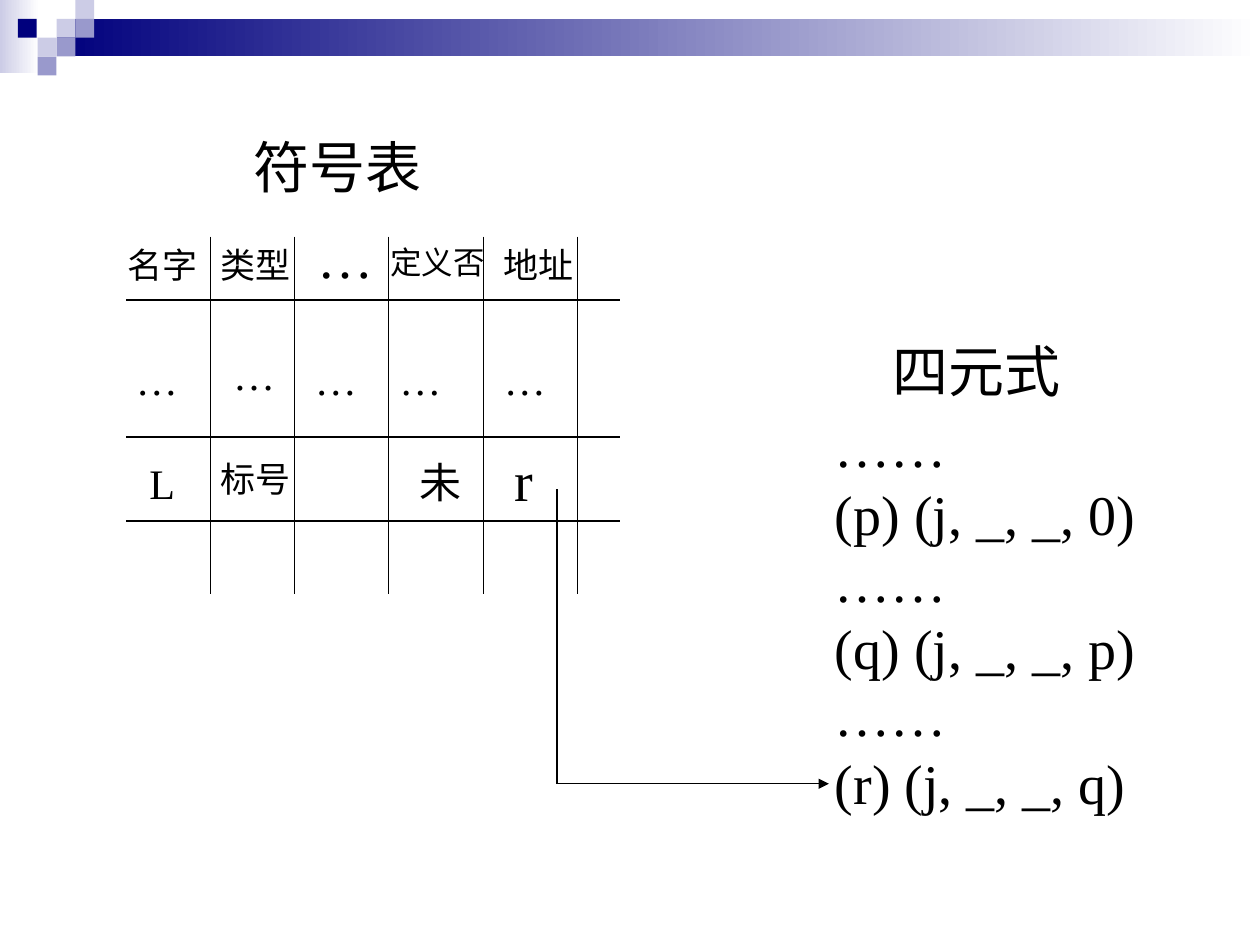
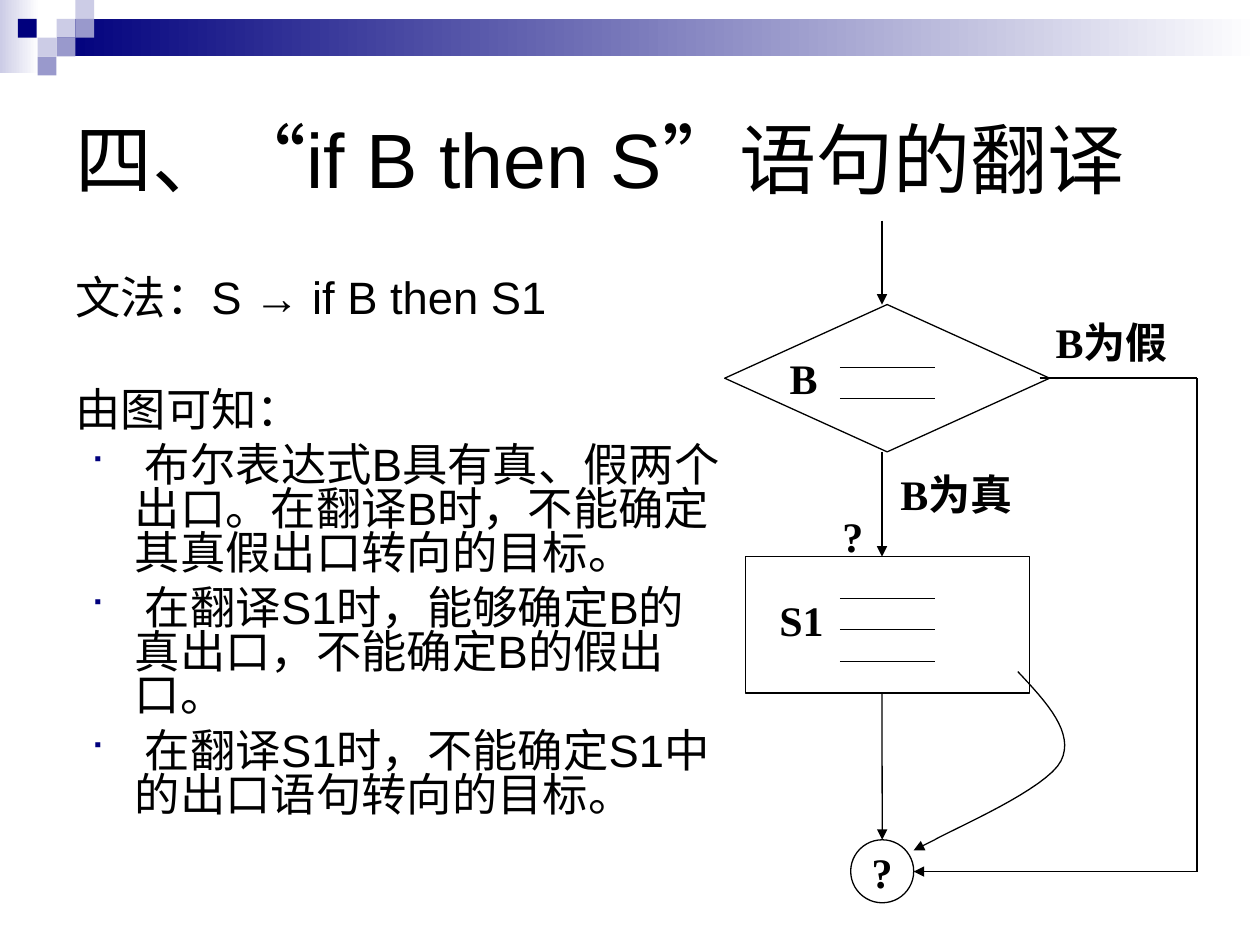
from lxml import etree
from pptx import Presentation
from pptx.dml.color import RGBColor
from pptx.enum import shapes, text
from pptx.oxml import ns
from pptx.util import Cm, Pt

BLACK = RGBColor(0, 0, 0)
WHITE = RGBColor(255, 255, 255)
NAVY = RGBColor(0x00, 0x00, 0x7D)
MID = RGBColor(0x99, 0x99, 0xCC)
PALE = RGBColor(0xCC, 0xCC, 0xE6)
SANS, SERIF = "Arial", "Times New Roman"
KIND = shapes.MSO_SHAPE

BANDS = [(0, 0, 0.79, 1.47, PALE), (1.14, 0.38, 24.26, 0.76, NAVY)]
TILE = 0.38
TILES = [(1.14, 0.38, PALE), (1.52, 0, PALE), (1.52, 0.38, MID), (0.76, 0.76, PALE),
         (0.36, 0.38, NAVY), (1.14, 0.76, MID), (0.76, 1.14, MID)]

HEADS = [("符号表", 4.87, 2.54), ("四元式", 17.74, 6.65)]
ROWS = [6.05, 8.81, 10.5]
COLS = [4.24, 5.93, 7.83, 9.74, 11.64]
LEFT, RIGHT, TOP, LOW = 2.54, 12.5, 4.77, 11.98
CELLS = [
    ("名字", 2.32, 4.78, 1.95, 20), ("类型", 4.19, 4.78, 1.95, 20),
    ("…", 6.15, 4.37, 1.63, 32), ("定义否", 7.62, 4.78, 2.41, 18),
    ("地址", 9.9, 4.78, 1.95, 20),
    ("…", 2.49, 7.01, 1.35, 24), ("…", 4.45, 6.91, 1.35, 24),
    ("…", 6.1, 7.01, 1.35, 24), ("…", 7.8, 7.01, 1.35, 24),
    ("…", 9.91, 7.01, 1.35, 24),
    ("L", 2.76, 9.09, 1.02, 24), ("标号", 4.19, 9.09, 1.95, 20),
    ("未", 8.2, 9.07, 1.35, 24), ("r", 10.12, 8.86, 0.89, 32),
]
QUADS = ["……", "(p) (j, _, _, 0)", "……", "(q) (j, _, _, p)", "……", "(r) (j, _, _, q)"]
LINK = [(11.23, 9.86), (11.23, 15.8), (16.71, 15.8)]

TITLE = "四、“if B then S”语句的翻译"
INTRO = [("文法：S → if B then S1", 7), ("由图可知：", 39)]
POINTS = [
    " 布尔表达式B具有真、假两个出口。在翻译B时，不能确定其真假出口转向的目标。",
    " 在翻译S1时，能够确定B的真出口，不能确定B的假出口。",
    " 在翻译S1时，不能确定S1中的出口语句转向的目标。",
]
AXIS = 17.78
TEST = (14.61, 6.14, 6.55, 2.97)
STEP = (15.03, 11.22, 5.72, 2.75)
EXIT = (17.15, 16.93, 1.27, 1.27)
TAGS = [("B", 15.67, 6.99, 1.07), ("S1", 15.46, 11.86, 1.4), ("?", 17.32, 16.93, 0.91),
        ("B为假", 21.03, 6.25, 2.97), ("B为真", 17.9, 9.32, 2.97),
        ("?", 16.73, 10.16, 0.91)]
DASHES = [7.41, 8.04, 12.06, 12.69, 13.33]
FALSE = [(20.96, 7.62), (24.13, 7.62), (24.13, 17.57), (18.42, 17.57)]
CURVE = [[(20.52, 13.54), (21.11, 14.17), (21.67, 14.78), (21.39, 15.34)],
         [(21.39, 15.34), (21.11, 15.9), (19.23, 16.71), (18.84, 16.93)]]
HOOK = (18.42, 17.14)


def style(para, size, font, bold=False):
    for run in para.runs:
        run.font.size, run.font.name, run.font.bold = Pt(size), font, bold
        run.font.color.rgb = BLACK


def label(slide, words, x, y, w, size, font=SERIF, bold=False, wrap=False):
    lines = words.split("\n")
    high = 0.25 + 0.0425 * size * len(lines)
    box = slide.shapes.add_textbox(Cm(x), Cm(y), Cm(w), Cm(high))
    frame = box.text_frame
    frame.text = words
    frame.word_wrap = wrap
    frame.auto_size = text.MSO_AUTO_SIZE.SHAPE_TO_FIT_TEXT
    for para in frame.paragraphs:
        style(para, size, font, bold)


def ink(line):
    line.color.rgb = BLACK
    line.width = Pt(0.75)


def wire(slide, start, end, arrow=False):
    ends = [Cm(n) for n in (*start, *end)]
    line = slide.shapes.add_connector(shapes.MSO_CONNECTOR.STRAIGHT, *ends)
    ink(line.line)
    props = line.element.spPr
    if arrow:
        tip = etree.SubElement(props.find(ns.qn("a:ln")), ns.qn("a:tailEnd"))
        tip.set("type", "triangle")
    etree.SubElement(props, ns.qn("a:effectLst"))
    return line


def route(slide, stops):
    last = len(stops) - 2
    for i, (start, end) in enumerate(zip(stops, stops[1:])):
        wire(slide, start, end, i == last)


def block(slide, kind, place):
    shape = slide.shapes.add_shape(kind, *[Cm(n) for n in place])
    shape.shadow.inherit = False
    return shape


def frame_shape(slide, kind, place):
    shape = block(slide, kind, place)
    shape.fill.background()
    ink(shape.line)
    return shape


def brand(slide, master):
    parts = []
    for *place, tint in BANDS:
        band = block(slide, KIND.RECTANGLE, place)
        band.fill.gradient()
        band.fill.gradient_angle = 180
        for stop, shade in zip(band.fill.gradient_stops, (WHITE, tint)):
            stop.color.rgb = shade
        parts.append(band)
    for x, y, tint in TILES:
        tile = block(slide, KIND.RECTANGLE, (x, y, TILE, TILE))
        tile.fill.solid()
        tile.fill.fore_color.rgb = tint
        parts.append(tile)
    for part in parts:
        part.line.fill.background()
        master.shapes.element.append(part.element)


def bullet(para):
    props = para._p.get_or_add_pPr()
    props.set("marL", str(Cm(1.2)))
    props.set("indent", str(-Cm(0.9)))
    props.set("hangingPunct", "0")
    tint = etree.SubElement(props, ns.qn("a:buClr"))
    etree.SubElement(tint, ns.qn("a:srgbClr")).set("val", str(NAVY))
    etree.SubElement(props, ns.qn("a:buSzPct")).set("val", "75000")
    etree.SubElement(props, ns.qn("a:buFont")).set("typeface", "Wingdings")
    etree.SubElement(props, ns.qn("a:buChar")).set("char", "■")


def bezier(a, b, c, d, steps=16):
    for i in range(1, steps + 1):
        t = i / steps
        s = 1 - t
        yield tuple(Cm(s**3 * p + 3 * s * s * t * q + 3 * s * t * t * r + t**3 * e)
                    for p, q, r, e in zip(a, b, c, d))


def symbols(slide):
    for y in ROWS:
        wire(slide, (LEFT, y), (RIGHT, y))
    for x in COLS:
        wire(slide, (x, TOP), (x, LOW))
    for cell in CELLS:
        label(slide, *cell)
    label(slide, "\n".join(QUADS), 16.58, 8.18, 6.7, 32)
    route(slide, LINK)
    for words, x, y in HEADS:
        label(slide, words, x, y, 6.17, 32, SANS, wrap=True)


def prose(slide):
    title = slide.shapes.title
    title.left, title.top, title.width, title.height = Cm(1.27), Cm(1.27), Cm(22.86), Cm(3.81)
    title.text_frame.text = TITLE
    title.text_frame.vertical_anchor = text.MSO_ANCHOR.MIDDLE
    head = title.text_frame.paragraphs[0]
    head.alignment = text.PP_ALIGN.LEFT
    style(head, 44, SANS)

    body = slide.shapes.add_textbox(Cm(1.27), Cm(5.51), Cm(13.54), Cm(10.8)).text_frame
    body.word_wrap = True
    items = INTRO + [(point, 7) for point in POINTS]
    body.text = "\n".join(words for words, gap in items)
    for i, (para, (words, gap)) in enumerate(zip(body.paragraphs, items)):
        para.line_spacing = 0.8
        para.space_before = Pt(gap)
        style(para, 25.9, SANS)
        if i >= len(INTRO):
            bullet(para)


def flow(slide):
    frame_shape(slide, KIND.DIAMOND, TEST)
    frame_shape(slide, KIND.RECTANGLE, STEP)
    goal = frame_shape(slide, KIND.OVAL, EXIT)
    wire(slide, (AXIS, 4.45), (AXIS, TEST[1]), True)
    wire(slide, (AXIS, TEST[1] + TEST[3]), (AXIS, STEP[1]), True)
    down = wire(slide, (AXIS, STEP[1] + STEP[3]), (AXIS, EXIT[1]), True)
    down.end_connect(goal, 0)
    route(slide, FALSE)
    for y in DASHES:
        wire(slide, (16.93, y), (18.84, y))
    for tag in TAGS:
        label(slide, *tag, 24, bold=True)

    x, y = CURVE[0][0]
    pen = slide.shapes.build_freeform(Cm(x), Cm(y))
    pen.add_line_segments([dot for arc in CURVE for dot in bezier(*arc)], close=False)
    bend = pen.convert_to_shape()
    bend.shadow.inherit = False
    bend.fill.background()
    ink(bend.line)
    wire(slide, CURVE[-1][-1], HOOK, True)


def main():
    deck = Presentation()
    deck.slide_width, deck.slide_height = Cm(25.4), Cm(19.05)
    first = deck.slides.add_slide(deck.slide_layouts[6])
    brand(first, deck.slide_master)
    symbols(first)
    second = deck.slides.add_slide(deck.slide_layouts[5])
    prose(second)
    flow(second)
    deck.save("out.pptx")


if __name__ == "__main__":
    main()
